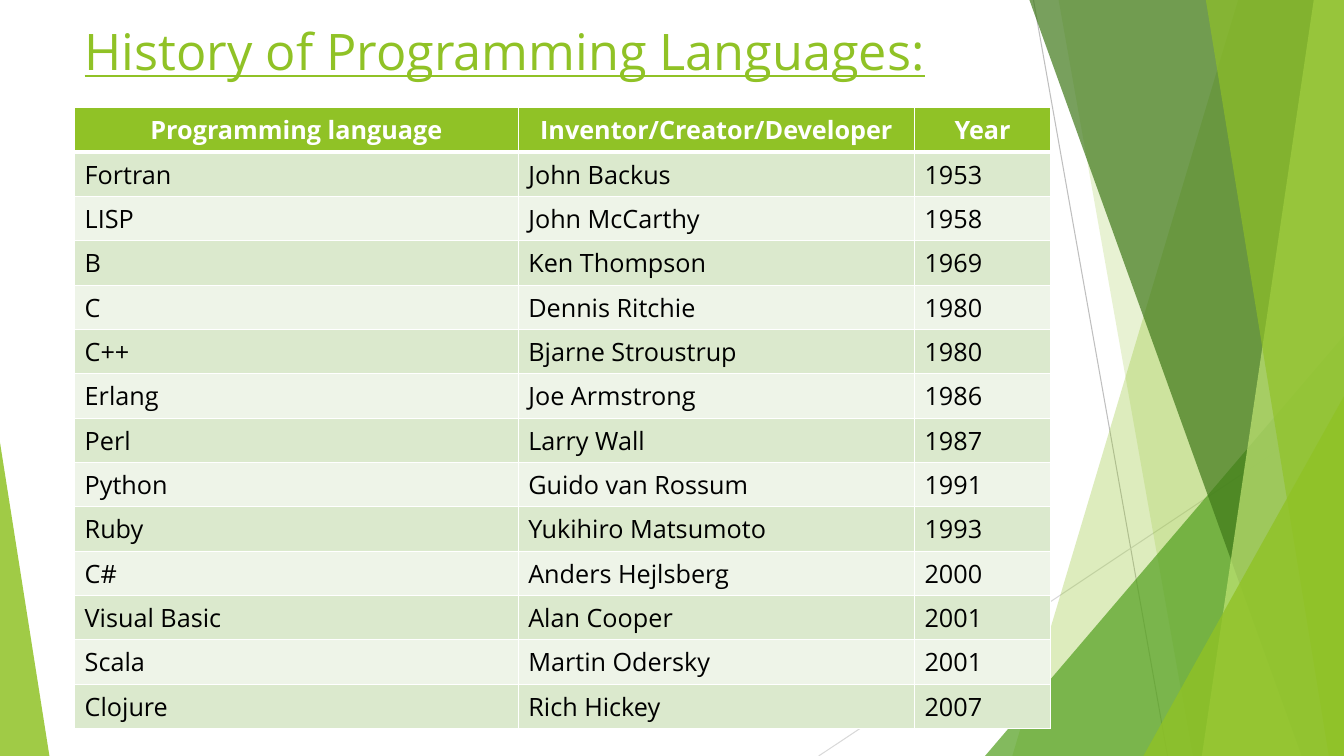
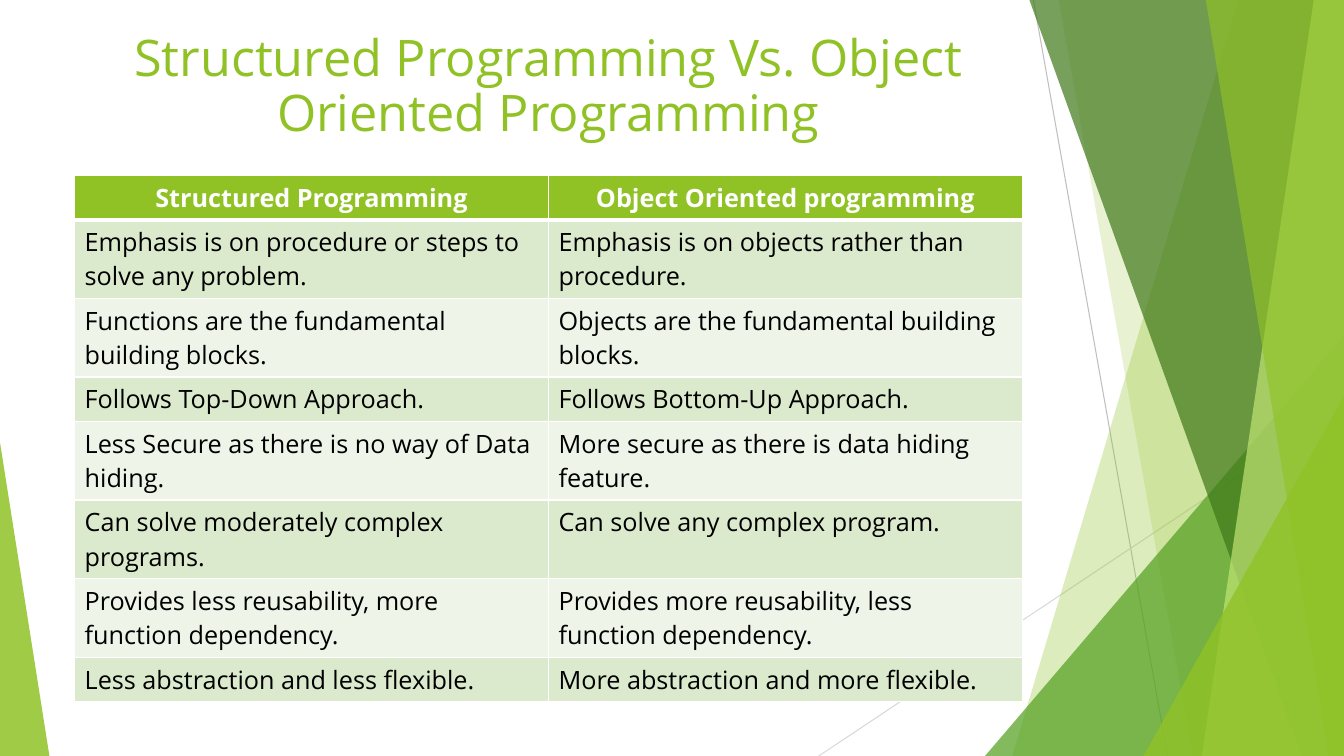
from lxml import etree
from pptx import Presentation
from pptx.dml.color import RGBColor
from pptx.enum import shapes, text
from pptx.oxml import ns
from pptx.util import Inches, Pt

COLOURS = {
    "lime": "90C226",
    "green": "54A021",
    "forest": "3F7819",
    "pale": "C0E474",
    "band_dark": "DBE9CD",
    "band_light": "EEF4E8",
    "rule_dark": "BFBFBF",
    "rule_light": "D9D9D9",
    "white": "FFFFFF",
    "black": "000000",
}
FONT = "Open Sans"
WIDTH, HEIGHT = 13.33, 7.5
LEFT = 0.74
CELL_PADDING, LINE_HEIGHT = 0.1, 0.34

RULES = [
    (10.25, 0, 11.58, HEIGHT, "rule_dark"),
    (WIDTH, 4.03, 8.12, HEIGHT, "rule_light"),
]
DECORATIONS = [
    ("panel", (12.28, 10.04), "lime", 30),
    ("panel", (10.5, 11.83), "lime", 20),
    ("triangle", (9.77, 3.33, 3.56, 1), "green", 72),
    ("panel", (10.21, 12.91), "forest", 70),
    ("panel", (13.03, 11.92), "pale", 70),
    ("panel", (11.96, 13.18), "lime", 65),
    ("triangle", (11.34, 3.93, 1.99, 1), "lime", 80),
    ("triangle", (0, 4.39, 0.49, 0), "lime", 85),
]

LANGUAGES = [
    ("Programming language", "Inventor/Creator/Developer", "Year"),
    ("Fortran", "John Backus", "1953"),
    ("LISP", "John McCarthy", "1958"),
    ("B", "Ken Thompson", "1969"),
    ("C", "Dennis Ritchie", "1980"),
    ("C++", "Bjarne Stroustrup", "1980"),
    ("Erlang", "Joe Armstrong", "1986"),
    ("Perl", "Larry Wall", "1987"),
    ("Python", "Guido van Rossum", "1991"),
    ("Ruby", "Yukihiro Matsumoto", "1993"),
    ("C#", "Anders Hejlsberg", "2000"),
    ("Visual Basic", "Alan Cooper", "2001"),
    ("Scala", "Martin Odersky", "2001"),
    ("Clojure", "Rich Hickey", "2007"),
]
PARADIGMS = [
    ("Structured Programming", "Object Oriented programming"),
    ("Emphasis is on procedure or steps to solve any problem.",
     "Emphasis is on objects rather than procedure."),
    ("Functions are the fundamental building blocks.",
     "Objects are the fundamental building blocks."),
    ("Follows Top-Down Approach.", "Follows Bottom-Up Approach."),
    ("Less Secure as there is no way of Data hiding.",
     "More secure as there is data hiding feature."),
    ("Can solve moderately complex programs.", "Can solve any complex program."),
    ("Provides less reusability, more function dependency.",
     "Provides more reusability, less function dependency."),
    ("Less abstraction and less flexible.", "More abstraction and more flexible."),
]
PARADIGM_LINES = [1, 2, 2, 1, 2, 2, 2, 1]


def colour(name):
    return RGBColor.from_string(COLOURS[name])


def add_rule(page, left, top, right, bottom, name):
    rule = page.shapes.add_connector(
        shapes.MSO_CONNECTOR.STRAIGHT,
        Inches(left), Inches(top), Inches(right), Inches(bottom))
    rule.line.color.rgb = colour(name)
    rule.line.width = Pt(0.75)
    etree.SubElement(rule._element.spPr, ns.qn("a:effectLst"))


def add_panel(page, top_x, bottom_x):
    builder = page.shapes.build_freeform(Inches(top_x), 0)
    corners = [(WIDTH, 0), (WIDTH, HEIGHT), (bottom_x, HEIGHT)]
    builder.add_line_segments([(Inches(x), Inches(y)) for x, y in corners])
    return builder.convert_to_shape()


def add_triangle(page, left, top, width, apex):
    triangle = page.shapes.add_shape(
        shapes.MSO_SHAPE.ISOSCELES_TRIANGLE,
        Inches(left), Inches(top), Inches(width), Inches(HEIGHT - top))
    triangle.adjustments[0] = apex
    return triangle


def add_backdrop(page):
    for rule in RULES:
        add_rule(page, *rule)
    makers = {"panel": add_panel, "triangle": add_triangle}
    for kind, geometry, name, opacity in DECORATIONS:
        shape = makers[kind](page, *geometry)
        shape.shadow.inherit = False
        shape.line.fill.background()
        shape.fill.solid()
        shape.fill.fore_color.rgb = colour(name)
        tint = shape._element.spPr.find(".//" + ns.qn("a:srgbClr"))
        etree.SubElement(tint, ns.qn("a:alpha"), val=str(opacity * 1000))


def style_paragraph(para, size, name, align, bold=False):
    para.alignment = align
    para.font.name = FONT
    para.font.size = Pt(size)
    para.font.bold = bold
    para.font.color.rgb = colour(name)


def add_title(page, top, height, words, align, underline=False):
    box = page.shapes.add_textbox(
        Inches(LEFT), Inches(top), Inches(9.4), Inches(height))
    box.text_frame.word_wrap = True
    box.text_frame.vertical_anchor = text.MSO_ANCHOR.TOP
    para = box.text_frame.paragraphs[0]
    para.text = words
    para.line_spacing = 0.9
    style_paragraph(para, 36, "lime", align)
    para.font.underline = underline


def set_borders(cell, bottom_width):
    properties = cell._tc.get_or_add_tcPr()
    widths = {"a:lnL": 1, "a:lnR": 1, "a:lnT": 1, "a:lnB": bottom_width}
    for position, (side, width) in enumerate(widths.items()):
        border = etree.Element(ns.qn(side), w=str(Pt(width)))
        fill = etree.SubElement(border, ns.qn("a:solidFill"))
        etree.SubElement(fill, ns.qn("a:srgbClr"), val=COLOURS["white"])
        properties.insert(position, border)


def fill_cell(cell, words, row):
    header = row == 0
    band = "lime" if header else "band_dark" if row % 2 else "band_light"
    cell.fill.solid()
    cell.fill.fore_color.rgb = colour(band)
    set_borders(cell, 3 if header else 1)
    para = cell.text_frame.paragraphs[0]
    para.text = words
    align = text.PP_ALIGN.CENTER if header else text.PP_ALIGN.LEFT
    style_paragraph(para, 18, "white" if header else "black", align, header)


def add_grid(page, top, widths, records, line_counts):
    heights = [CELL_PADDING + LINE_HEIGHT * count for count in line_counts]
    table = page.shapes.add_table(
        len(records), len(widths), Inches(LEFT), Inches(top),
        Inches(sum(widths)), Inches(sum(heights))).table
    for column, width in zip(table.columns, widths):
        column.width = Inches(width)
    for row, (record, height) in enumerate(zip(records, heights)):
        table.rows[row].height = Inches(height)
        for column, words in enumerate(record):
            fill_cell(table.cell(row, column), words, row)


def add_page(deck):
    page = deck.slides.add_slide(deck.slide_layouts[6])
    add_backdrop(page)
    return page


def add_history_page(deck):
    page = add_page(deck)
    add_title(page, 0.22, 0.85, "History of Programming Languages:",
              text.PP_ALIGN.LEFT, underline=True)
    add_grid(page, 1.07, [4.4, 3.93, 1.35], LANGUAGES, [1] * len(LANGUAGES))


def add_comparison_page(deck):
    page = add_page(deck)
    add_title(page, 0.28, 1.46,
              "Structured Programming Vs. Object Oriented Programming",
              text.PP_ALIGN.CENTER)
    add_grid(page, 1.74, [4.7, 4.7], PARADIGMS, PARADIGM_LINES)


def main():
    deck = Presentation()
    deck.slide_width = Inches(WIDTH)
    deck.slide_height = Inches(HEIGHT)
    add_history_page(deck)
    add_comparison_page(deck)
    deck.save("out.pptx")


if __name__ == "__main__":
    main()
